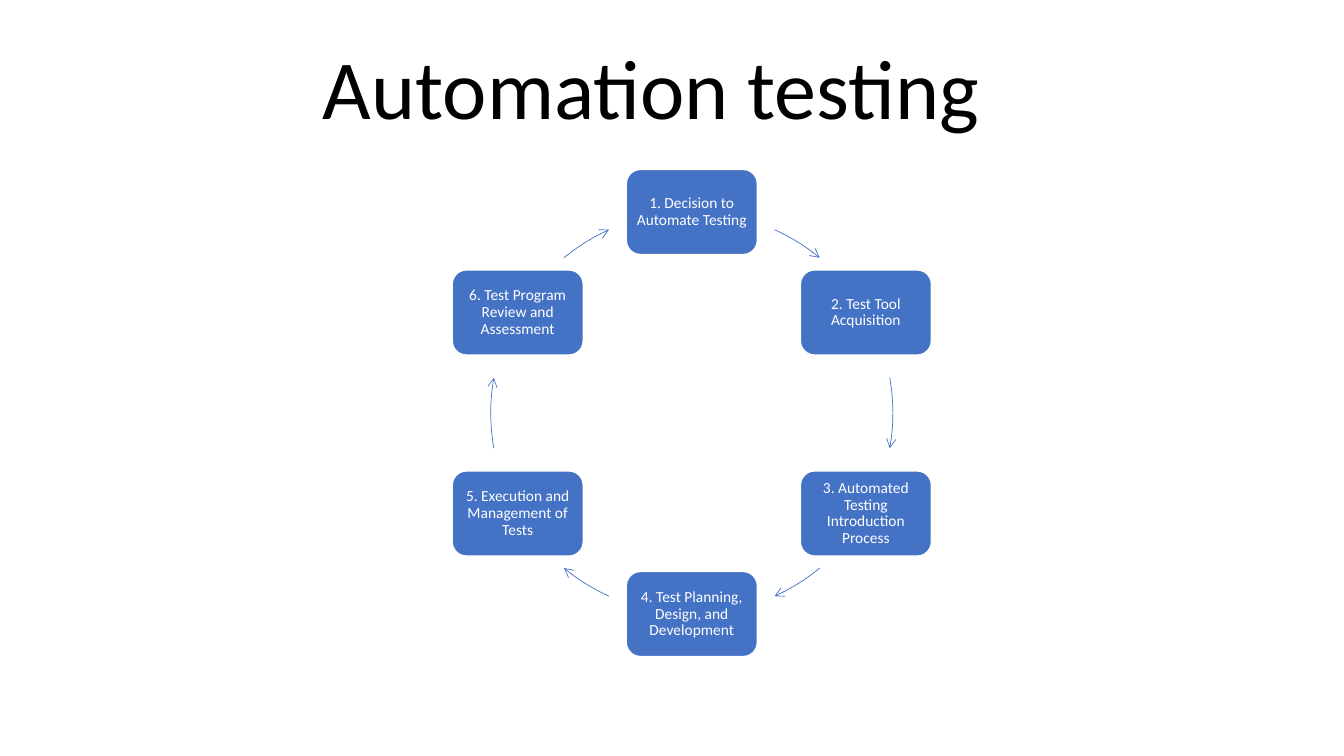
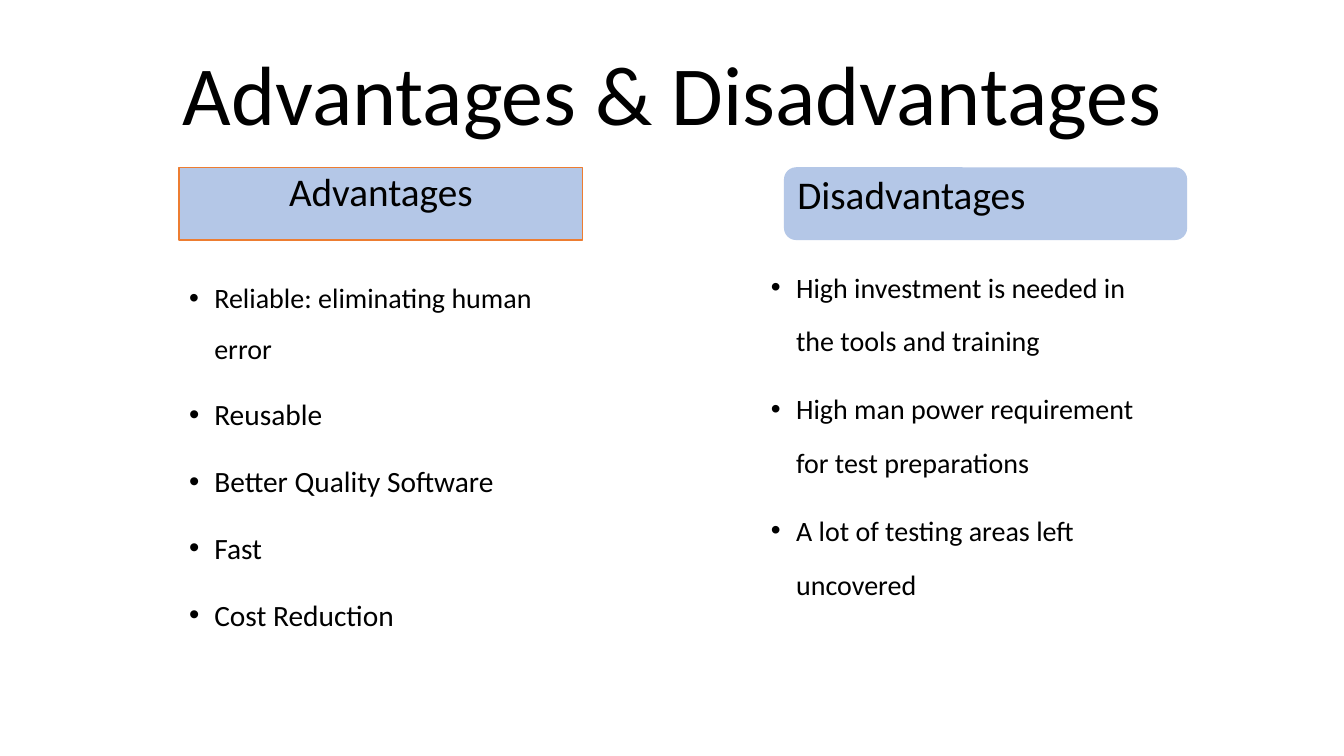
import math
from dataclasses import dataclass

from lxml import etree
from pptx import Presentation
from pptx.dml.color import RGBColor
from pptx.enum import shapes, text
from pptx.oxml import ns
from pptx.util import Pt

PRESET = shapes.MSO_SHAPE
CENTER, LEFT = text.PP_ALIGN.CENTER, text.PP_ALIGN.LEFT
TOP, MIDDLE, BOTTOM = (text.MSO_ANCHOR.TOP, text.MSO_ANCHOR.MIDDLE,
                       text.MSO_ANCHOR.BOTTOM)


@dataclass(frozen=True)
class Theme:
    font: str = "Calibri"
    ink: str = "000000"
    paper: str = "FFFFFF"
    step: str = "4472C4"
    band: str = "B4C7E7"
    accent: str = "ED7D31"
    title_size: float = 60
    heading_size: float = 28
    step_size: float = 11
    tight: float = 0.9
    gap: float = 10


@dataclass(frozen=True)
class Box:
    left: float
    top: float
    width: float
    height: float

    def lengths(self):
        return [Pt(v) for v in (self.left, self.top, self.width, self.height)]


THEME = Theme()

STEPS = [
    "1. Decision to Automate Testing",
    "2. Test Tool Acquisition",
    "3. Automated Testing Introduction Process",
    "4. Test Planning, Design, and Development",
    "5. Execution and Management of Tests",
    "6. Test Program Review and Assessment",
]
# Degrees clockwise from three o'clock, for the right half of the ring
RIGHT_ARCS = [(294.3, 309.5), (349.9, 10.1), (50.5, 65.7)]

ADVANTAGES = [
    ("Reliable: eliminating human error", 20),
    ("Reusable", 21),
    ("Better Quality Software", 21),
    ("Fast", 21),
    ("Cost Reduction", 21),
]
DISADVANTAGES = [
    ("High investment is needed in the tools and training", 20),
    ("High man power requirement for test preparations", 20),
    ("A lot of testing areas left uncovered", 20),
]


# Shared helpers
def colour(code):
    return RGBColor.from_string(code)


def add_preset(page, preset, box, fill=None, line=None, weight=1):
    shape = page.shapes.add_shape(preset, *box.lengths())
    shape.shadow.inherit = False
    if fill:
        shape.fill.solid()
        shape.fill.fore_color.rgb = colour(fill)
    else:
        shape.fill.background()
    if line:
        shape.line.color.rgb = colour(line)
        shape.line.width = Pt(weight)
    else:
        shape.line.fill.background()
    return shape


def prepare_frame(shape, anchor):
    frame = shape.text_frame
    frame.word_wrap = True
    frame.vertical_anchor = anchor
    return frame


def write(para, words, size, ink=THEME.ink, align=LEFT,
          spacing=THEME.tight, before=0):
    para.alignment = align
    para.line_spacing = spacing
    para.space_before = Pt(before)
    span = para.add_run()
    span.text = words
    span.font.name = THEME.font
    span.font.size = Pt(size)
    span.font.color.rgb = colour(ink)


def add_bullet(para, indent=18):
    props = para._p.get_or_add_pPr()
    props.set("marL", str(Pt(indent)))
    props.set("indent", str(Pt(-indent)))
    etree.SubElement(props, ns.qn("a:buFont")).set("typeface", "Arial")
    etree.SubElement(props, ns.qn("a:buChar")).set("char", "•")


def add_title(page, box, words):
    title = page.shapes.add_textbox(*box.lengths())
    frame = prepare_frame(title, BOTTOM)
    write(frame.paragraphs[0], words, THEME.title_size, align=CENTER)


# Ring of steps
def add_step(page, box, words):
    step = add_preset(page, PRESET.ROUNDED_RECTANGLE, box,
                      THEME.step, THEME.paper)
    frame = prepare_frame(step, MIDDLE)
    frame.margin_left = frame.margin_right = Pt(3.5)
    frame.margin_top = frame.margin_bottom = Pt(3.5)
    write(frame.paragraphs[0], words, THEME.step_size, THEME.paper, CENTER)


def add_arc(page, box, start, end):
    arc = add_preset(page, PRESET.ARC, box, line=THEME.step, weight=0.5)
    # Angles are stored in 1/60000 degree, adjustments in 1/100000
    arc.adjustments[0] = start * 0.6
    arc.adjustments[1] = end * 0.6
    tail = etree.SubElement(arc.line._get_or_add_ln(), ns.qn("a:tailEnd"))
    tail.set("type", "arrow")


def add_cycle(page, ring, step_width=93.6, step_height=60.8):
    radius = ring.width / 2
    middle_x, middle_y = ring.left + radius, ring.top + radius
    left_arcs = [((a + 180) % 360, (b + 180) % 360) for a, b in RIGHT_ARCS]
    for index, (words, arc) in enumerate(zip(STEPS, RIGHT_ARCS + left_arcs)):
        angle = math.tau * index / len(STEPS)
        left = middle_x + radius * math.sin(angle) - step_width / 2
        top = middle_y - radius * math.cos(angle) - step_height / 2
        add_step(page, Box(left, top, step_width, step_height), words)
        add_arc(page, ring, *arc)


# Columns of points
def add_heading(page, box, words, preset, align, line=None):
    heading = add_preset(page, preset, box, THEME.band, line)
    frame = prepare_frame(heading, TOP)
    write(frame.paragraphs[0], words, THEME.heading_size,
          align=align, before=THEME.gap)


def add_points(page, box, points, spacing):
    frame = prepare_frame(page.shapes.add_textbox(*box.lengths()), TOP)
    for index, (words, size) in enumerate(points):
        para = frame.add_paragraph() if index else frame.paragraphs[0]
        write(para, words, size, spacing=spacing, before=THEME.gap)
        add_bullet(para)


# Slides
def build_cycle_page(page):
    add_title(page, Box(105, 18.7, 720, 82.8), "Automation testing")
    add_cycle(page, Box(350.6, 151.4, 287.2, 287.2))


def build_comparison_page(page):
    add_title(page, Box(120, 23, 720, 82.8), "Advantages & Disadvantages")
    add_points(page, Box(128, 185, 288, 295), ADVANTAGES, 1.5)
    add_points(page, Box(543.6, 175, 288, 306), DISADVANTAGES, 1.6)
    add_heading(page, Box(560, 119.5, 288, 52), "Disadvantages",
                PRESET.ROUNDED_RECTANGLE, LEFT)
    add_heading(page, Box(128, 119.5, 288, 52), "Advantages",
                PRESET.RECTANGLE, CENTER, THEME.accent)


def main():
    deck = Presentation()
    deck.slide_width, deck.slide_height = Pt(960), Pt(540)
    for build in (build_cycle_page, build_comparison_page):
        build(deck.slides.add_slide(deck.slide_layouts[6]))
    deck.save("out.pptx")


if __name__ == "__main__":
    main()
